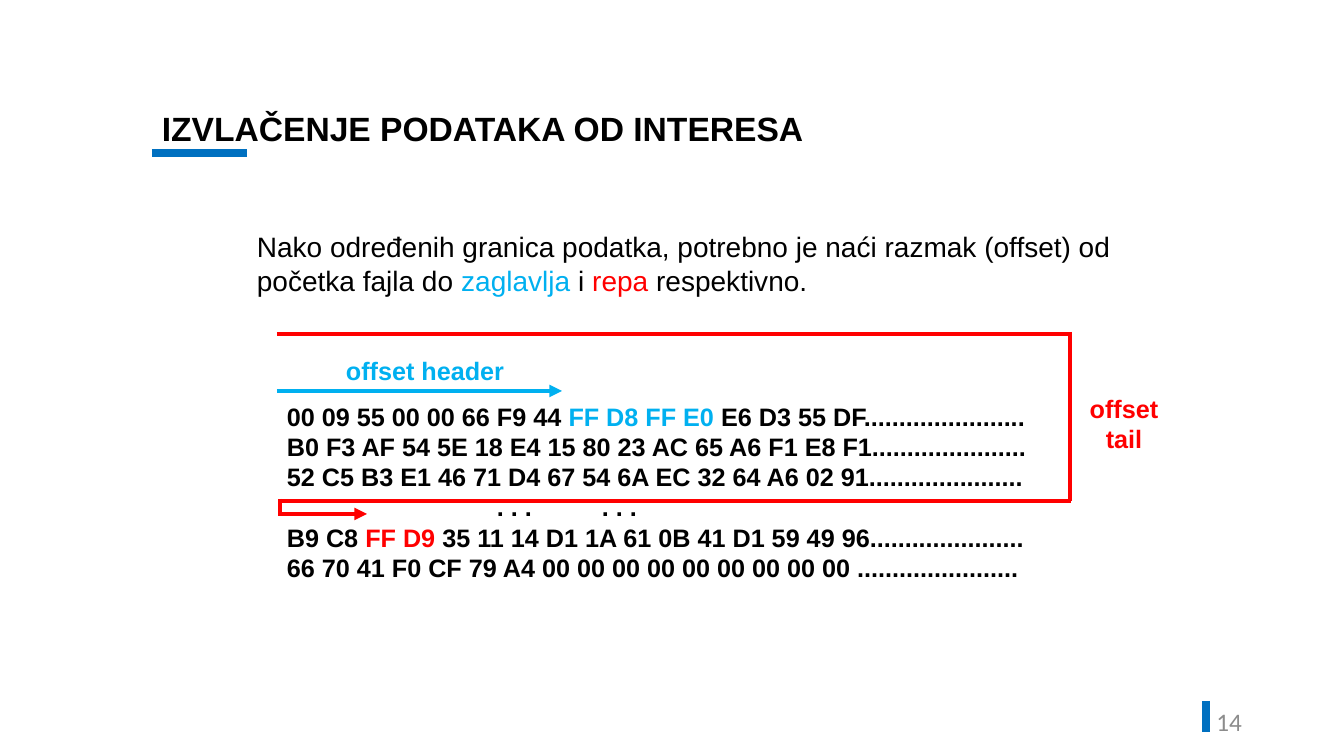
from lxml import etree
from pptx import Presentation
from pptx.dml.color import RGBColor
from pptx.enum.shapes import MSO_CONNECTOR
from pptx.enum.text import MSO_ANCHOR, PP_ALIGN
from pptx.oxml.ns import qn
from pptx.util import Emu, Pt

BLACK = RGBColor(0x00, 0x00, 0x00)
GRAY = RGBColor(0x8C, 0x8C, 0x8C)
BLUE = RGBColor(0x00, 0x70, 0xC0)
CYAN = RGBColor(0x00, 0xB0, 0xF0)
RED = RGBColor(0xFF, 0x00, 0x00)
PX = 914400 / 100.8

deck = Presentation()
deck.slide_width, deck.slide_height = Emu(round(1344 * PX)), Emu(round(756 * PX))
page = deck.slides.add_slide(deck.slide_layouts[6])


def add_text(place, lines, size, bold=False, align=PP_ALIGN.LEFT, wrap=True, font="Arial"):
    """Each line is a list of (text, colour) spans."""
    box = page.shapes.add_textbox(*[Emu(round(v * PX)) for v in place])
    frame = box.text_frame
    frame.word_wrap = wrap
    for number, line in enumerate(lines):
        para = frame.add_paragraph() if number else frame.paragraphs[0]
        para.alignment = align
        for words, color in line:
            span = para.add_run()
            span.text = words
            span.font.name, span.font.size = font, Pt(size)
            span.font.bold, span.font.color.rgb = bold, color
    return frame


def add_line(ends, color, width, arrow=False):
    line = page.shapes.add_connector(
        MSO_CONNECTOR.STRAIGHT, *[Emu(round(v * PX)) for v in ends])
    line.line.color.rgb, line.line.width = color, Pt(width)
    if arrow:
        etree.SubElement(line.line._get_or_add_ln(), qn("a:tailEnd"), type="triangle")
    etree.SubElement(line._element.spPr, qn("a:effectLst"))


# Page number
number_frame = add_text((950, 701, 302, 40), [[("14", GRAY)]], 18,
                        align=PP_ALIGN.RIGHT, font="Calibri")
number_frame.vertical_anchor = MSO_ANCHOR.MIDDLE

# Title and blue accents
add_text((152, 103, 997, 50), [[("IZVLAČENJE PODATAKA OD INTERESA", BLACK)]], 24, bold=True)
add_line((152, 153, 247, 153), BLUE, 6)
add_line((1206, 701, 1206, 732), BLUE, 6)

# Explanation
add_text((247, 225, 911, 78), [[
    ("Nako određenih granica podatka, potrebno je naći razmak (offset) od početka fajla do ", BLACK),
    ("zaglavlja", CYAN), (" i ", BLACK), ("repa", RED), (" respektivno.", BLACK)]], 20)

# Hex dump, with tab stops for the row of dots
dump = add_text((277, 396, 774, 194), [
    [("00 09 55 00 00 66 F9 44 ", BLACK), ("FF D8 FF E0 ", CYAN),
     ("E6 D3 55 DF.......................", BLACK)],
    [("B0 F3 AF 54 5E 18 E4 15 80 23 AC 65 A6 F1 E8 F1......................", BLACK)],
    [("52 C5 B3 E1 46 71 D4 67 54 6A EC 32 64 A6 02 91......................", BLACK)],
    [("\t. . .\t. . .", BLACK)],
    [("B9 C8 ", BLACK), ("FF D9 ", RED),
     ("35 11 14 D1 1A 61 0B 41 D1 59 49 96......................", BLACK)],
    [("66 70 41 F0 CF 79 A4 00 00 00 00 00 00 00 00 00 .......................", BLACK)],
], 18, bold=True)
tabs = etree.SubElement(dump.paragraphs[3]._p.get_or_add_pPr(), qn("a:tabLst"))
for stop in (210, 315):
    etree.SubElement(tabs, qn("a:tab"), pos=str(round(stop * PX)), algn="l")

# Header offset
add_line((277, 391, 562, 391), CYAN, 3, arrow=True)
add_text((336, 350, 184, 40), [[("offset header", CYAN)]], 18, bold=True, wrap=False)

# Tail offset: a path around the first rows
for ends in ((277, 334, 1071, 334), (1070, 332, 1070, 501),
             (279, 501, 1071, 501), (280, 499, 280, 516)):
    add_line(ends, RED, 3)
add_line((279, 514, 367, 514), RED, 3, arrow=True)
add_text((1079, 388, 90, 72), [[("offset", RED)], [("tail", RED)]], 18,
         bold=True, align=PP_ALIGN.CENTER, wrap=False)

deck.save("out.pptx")
